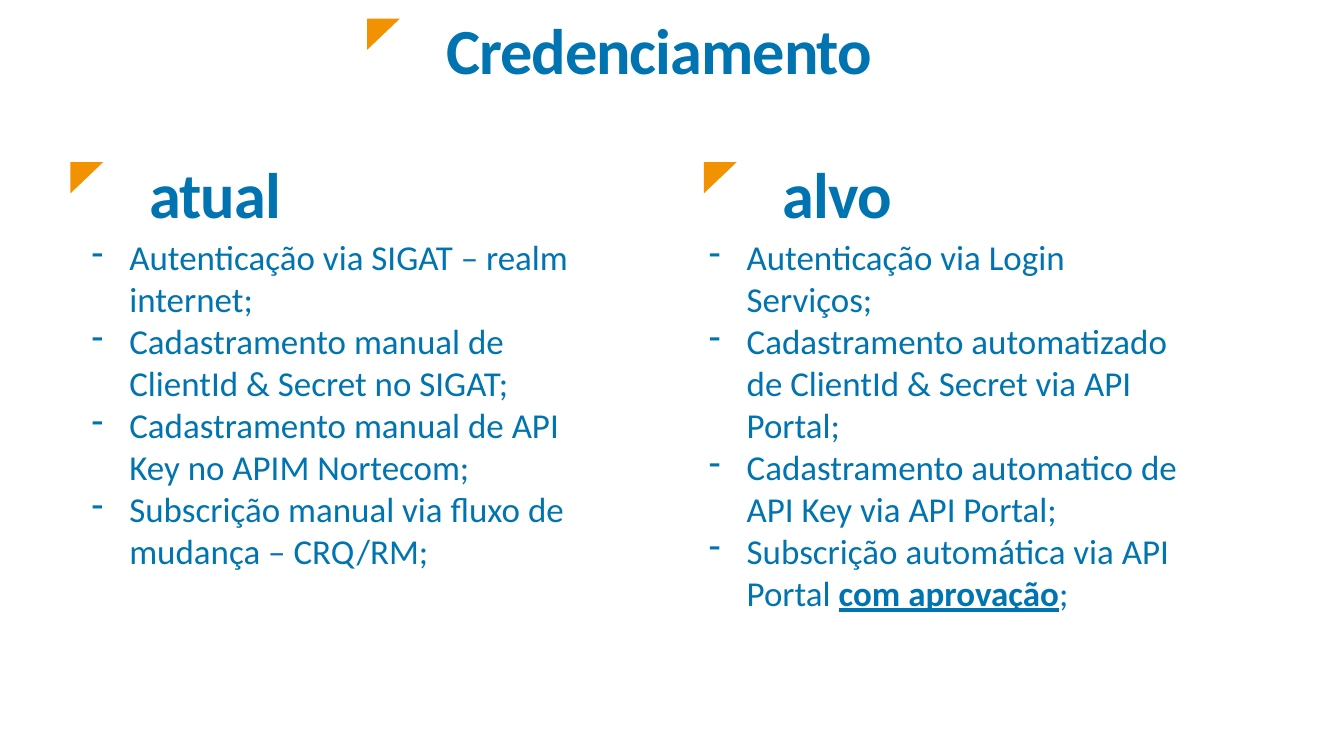
from dataclasses import dataclass

from lxml import etree
from pptx import Presentation
from pptx.dml.color import RGBColor
from pptx.enum.text import MSO_ANCHOR, MSO_AUTO_SIZE, PP_ALIGN
from pptx.oxml.ns import qn
from pptx.util import Inches, Pt

LEFT = PP_ALIGN.LEFT
TOP, BOTTOM = MSO_ANCHOR.TOP, MSO_ANCHOR.BOTTOM
NO_FIT, GROW = MSO_AUTO_SIZE.NONE, MSO_AUTO_SIZE.SHAPE_TO_FIT_TEXT


@dataclass(frozen=True)
class Theme:
    font: str = "Calibri"
    blue: RGBColor = RGBColor(0x00, 0x74, 0xB0)
    orange: RGBColor = RGBColor(0xF3, 0x92, 0x00)
    heading: int = 92
    body: int = 50
    heading_line: int = 127
    heading_tracking: int = -150


THEME = Theme()

CURRENT = [
    ["Autenticação via SIGAT – realm internet;"],
    ["Cadastramento manual de ClientId & Secret no SIGAT;"],
    ["Cadastramento manual de API Key no APIM Nortecom;"],
    ["Subscrição manual via fluxo de mudança – CRQ/RM;"],
]
TARGET = [
    ["Autenticação via Login Serviços;"],
    ["Cadastramento automatizado de ClientId & Secret via API Portal;"],
    ["Cadastramento automatico de API Key via API Portal;"],
    ["Subscrição automática via API Portal ", ("com aprovação", True), ";"],
]


def add_run(p, text, size, bold=False, underline=False, tracking=None):
    r = p.add_run()
    r.text = text
    f = r.font
    f.name, f.size, f.bold, f.underline = THEME.font, Pt(size), bold, underline
    f.color.rgb = THEME.blue
    if tracking is not None:
        r._r.get_or_add_rPr().set("spc", str(tracking))


def place(sp, left, top, width, height):
    sp.left, sp.top = Inches(left), Inches(top)
    sp.width, sp.height = Inches(width), Inches(height)


def set_frame(sp, anchor, fit):
    tf = sp.text_frame
    tf.word_wrap, tf.auto_size, tf.vertical_anchor = True, fit, anchor
    return tf


def set_dash(p):
    pPr = p._p.get_or_add_pPr()
    pPr.set("marL", str(Inches(0.75)))
    pPr.set("indent", str(-Inches(0.75)))
    etree.SubElement(pPr, qn("a:buFontTx"))
    etree.SubElement(pPr, qn("a:buChar")).set("char", "-")


def add_corner(s, left, top):
    width, height = Inches(0.65), Inches(0.62)
    x, y = Inches(left), Inches(top)
    fb = s.shapes.build_freeform(x, y)
    fb.add_line_segments([(x + width, y), (x, y + height)], close=True)
    sp = fb.convert_to_shape()
    sp.shadow.inherit = False
    sp.fill.solid()
    sp.fill.fore_color.rgb = THEME.orange
    sp.line.fill.background()


def format_heading(s, sp, text, left, top):
    place(sp, left, top, 8.93, 2.2)
    p = set_frame(sp, BOTTOM, NO_FIT).paragraphs[0]
    p.alignment, p.line_spacing = LEFT, Pt(THEME.heading_line)
    add_run(p, text, THEME.heading, bold=True, tracking=THEME.heading_tracking)
    add_corner(s, left - 1.47, top + 0.78)


def add_list(s, items, left):
    sp = s.shapes.add_textbox(0, 0, 0, 0)
    place(sp, left, 4.64, 9.83, 7.67)
    tf = set_frame(sp, TOP, GROW)
    for i, parts in enumerate(items):
        p = tf.add_paragraph() if i else tf.paragraphs[0]
        set_dash(p)
        for part in parts:
            text, strong = (part, False) if isinstance(part, str) else part
            add_run(p, text, THEME.body, bold=strong, underline=strong)


def main():
    prs = Presentation()
    prs.slide_width, prs.slide_height = Inches(26.69), Inches(15)
    s = prs.slides.add_slide(prs.slide_layouts[5])
    format_heading(s, s.shapes.title, "Credenciamento", 8.76, -0.41)
    columns = [("atual", 2.87, CURRENT, 1.72), ("alvo", 15.45, TARGET, 13.98)]
    for heading, heading_left, items, list_left in columns:
        add_list(s, items, list_left)
        sp = s.shapes.add_textbox(0, 0, 0, 0)
        format_heading(s, sp, heading, heading_left, 2.44)
    prs.save("out.pptx")


if __name__ == "__main__":
    main()
